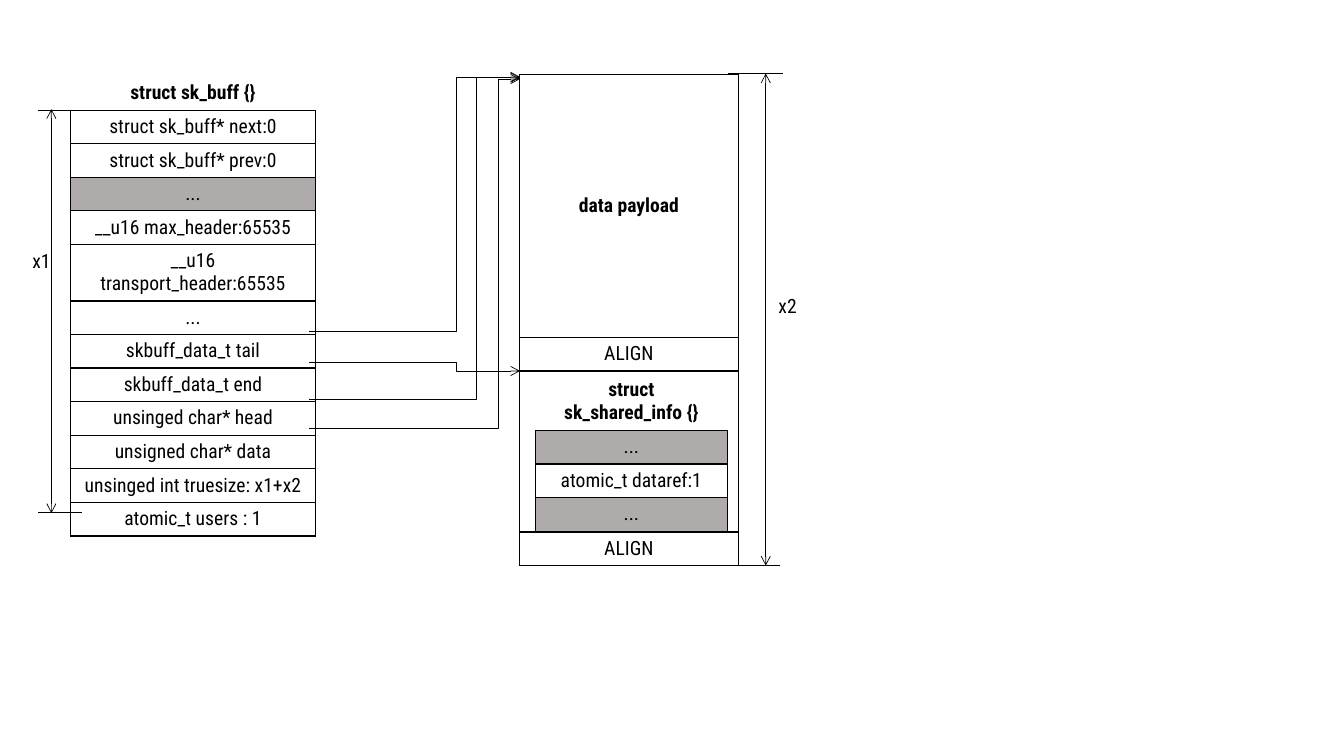
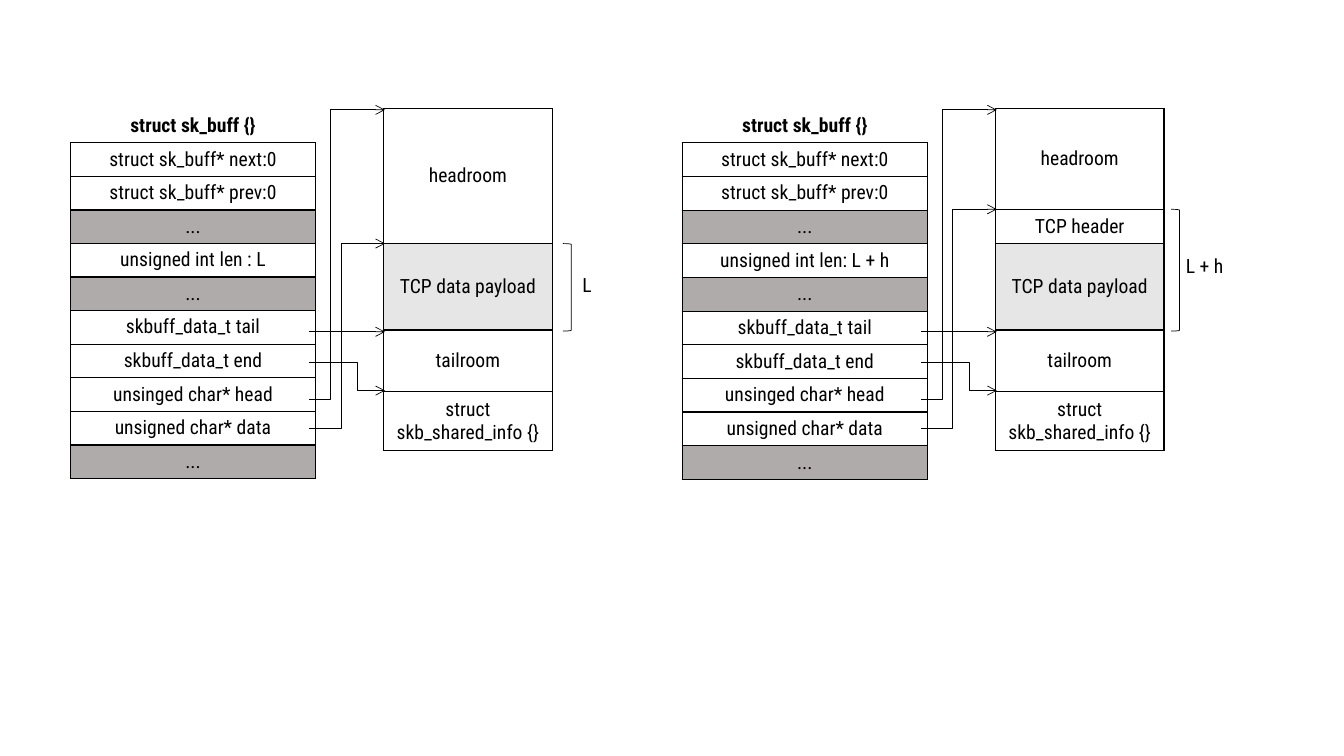
from lxml.etree import SubElement
from pptx import Presentation
from pptx.dml.color import RGBColor
from pptx.enum.shapes import MSO_CONNECTOR, MSO_SHAPE
from pptx.enum.text import MSO_ANCHOR, PP_ALIGN
from pptx.oxml.ns import qn
from pptx.util import Pt

COLORS = {"ink": "000000", "skipped": "AFABAB", "payload": "E7E6E6"}
FONT = {"name": "Roboto Condensed", "size": Pt(14)}
TABLE_FLAGS = {"first_row": False, "horz_banding": False}
ROW = 24
BUFFER_LEFT, BUFFER_WIDTH = 50.4, 175
FIELD_EDGE = 221
FIELD_Y = {"tail": 237, "end": 259, "head": 285, "data": 306}
BUFFER_TITLE = "struct sk_buff {}"
LINKS = ["struct sk_buff* next:0", "struct sk_buff* prev:0", "..."]
POINTERS = ["skbuff_data_t tail", "skbuff_data_t end",
            "unsinged char* head", "unsigned char* data"]


class Diagram:
    """Draw memory layout diagrams in one shared style, with lengths in points."""

    def __init__(self):
        self.deck = Presentation()
        self.deck.slide_width, self.deck.slide_height = Pt(960), Pt(540)
        self.slide = None

    def new_slide(self):
        self.slide = self.deck.slides.add_slide(self.deck.slide_layouts[6])

    def color(self, key):
        return RGBColor.from_string(COLORS[key])

    def set_text(self, frame, text, bold=False, align=PP_ALIGN.CENTER):
        for index, line in enumerate(text.split("\n")):
            paragraph = frame.add_paragraph() if index else frame.paragraphs[0]
            paragraph.alignment = align
            run = paragraph.add_run()
            run.text = line
            for name, value in {**FONT, "bold": bold}.items():
                setattr(run.font, name, value)
            run.font.color.rgb = self.color("ink")

    def border(self, cell, sides):
        properties = cell._tc.get_or_add_tcPr()
        for side in "LRTB":
            edge = SubElement(properties, qn(f"a:ln{side}"), w=str(Pt(1)))
            if side in sides:
                fill = SubElement(edge, qn("a:solidFill"))
                SubElement(fill, qn("a:srgbClr"), val=COLORS["ink"])
            else:
                SubElement(edge, qn("a:noFill"))

    def stack(self, left, top, width, rows, titled=False, bold=False,
              anchor=MSO_ANCHOR.MIDDLE):
        height = sum(size for _, size, _ in rows)
        table = self.slide.shapes.add_table(
            len(rows), 1, Pt(left), Pt(top), Pt(width), Pt(height)).table
        for name, value in TABLE_FLAGS.items():
            setattr(table, name, value)
        for index, (text, size, fill) in enumerate(rows):
            table.rows[index].height = Pt(size)
            cell = table.cell(index, 0)
            first = index == 0
            self.border(cell, "B" if titled and first else "LRTB")
            if fill:
                cell.fill.solid()
                cell.fill.fore_color.rgb = self.color(fill)
            else:
                cell.fill.background()
            cell.vertical_anchor = anchor
            if text:
                self.set_text(cell.text_frame, text, first and (titled or bold))

    def struct(self, left, top, width, title, fields, skipped, title_height=ROW):
        rows = [(title, title_height, None)]
        rows += [(field, ROW, "skipped" if index in skipped else None)
                 for index, field in enumerate(fields)]
        self.stack(left, top, width, rows, titled=True, anchor=MSO_ANCHOR.TOP)

    def line(self, start, end, arrows=(), bend=None):
        kind = MSO_CONNECTOR.STRAIGHT if bend is None else MSO_CONNECTOR.ELBOW
        connector = self.slide.shapes.add_connector(
            kind, *(Pt(value) for value in (*start, *end)))
        connector.line.color.rgb = self.color("ink")
        connector.line.width = Pt(0.5)
        outline = connector.line._get_or_add_ln()
        for arrow in arrows:
            SubElement(outline, qn(f"a:{arrow}End"), type="arrow")
        properties = connector._element.spPr
        SubElement(properties, qn("a:effectLst"))
        if bend is not None:
            share = round((bend - start[0]) / (end[0] - start[0]) * 100000)
            guides = properties.find(qn("a:prstGeom")).find(qn("a:avLst"))
            SubElement(guides, qn("a:gd"), name="adj1", fmla=f"val {share}")

    def pointer(self, field, target, bend=None, shift=0):
        start = (FIELD_EDGE + shift, FIELD_Y[field])
        end = (target[0] + shift, target[1])
        self.line(start, end, ["tail"], None if bend is None else bend + shift)

    def measure(self, x, top, bottom, ticks):
        self.line((x, top), (x, bottom), ["head", "tail"])
        for y, left, right in ticks:
            self.line((left, y), (right, y))

    def label(self, text, left, top, width):
        box = self.slide.shapes.add_textbox(Pt(left), Pt(top), Pt(width), Pt(ROW))
        box.text_frame.word_wrap = True
        box.text_frame.margin_right = 0
        self.set_text(box.text_frame, text, align=PP_ALIGN.LEFT)

    def bracket(self, left, top, bottom):
        shape = self.slide.shapes.add_shape(
            MSO_SHAPE.RIGHT_BRACKET, Pt(left), Pt(top), Pt(6), Pt(bottom - top))
        shape.shadow.inherit = False
        shape.fill.background()
        shape.line.color.rgb = self.color("ink")
        shape.line.width = Pt(0.5)


def draw_allocation(diagram):
    diagram.new_slide()
    fields = LINKS + ["__u16 max_header:65535", "__u16 transport_header:65535", "..."]
    fields += POINTERS + ["unsinged int truesize: x1+x2", "atomic_t users : 1"]
    diagram.struct(BUFFER_LEFT, 54.7, BUFFER_WIDTH, BUFFER_TITLE, fields, {2})
    diagram.stack(371, 53, 156.5, [("data payload", 188, None), ("ALIGN", ROW, None),
                                   ("", 115, None), ("ALIGN", ROW, None)], bold=True)
    diagram.struct(382.5, 266.5, 137, "struct\nsk_shared_info {}",
                   ["...", "atomic_t dataref:1", "..."], {0, 2}, title_height=41)
    for field, y, bend in [("tail", 55.5, 326), ("end", 265, 326),
                           ("head", 55, 340), ("data", 56.5, 356)]:
        diagram.pointer(field, (371.5, y), bend)
    diagram.measure(547, 52.5, 404, [(52.5, 520, 559.5), (403.5, 518, 557)])
    diagram.measure(36.7, 78, 366.5, [(79, 27.5, 64), (366, 27.5, 58.5)])
    diagram.label("x1", 16, 174.5, 28)
    diagram.label("x2", 549, 206.5, 28)


def draw_buffer(diagram, shift, length, rooms, data_y, bracket_left, label_box):
    fields = LINKS + [length, "..."] + POINTERS + ["..."]
    diagram.struct(BUFFER_LEFT + shift, 78, BUFFER_WIDTH, BUFFER_TITLE, fields, {2, 4, 9})
    rooms = rooms + [("TCP data payload", 62, "payload"), ("tailroom", 44, None),
                     ("struct skb_shared_info {}", 42, None)]
    diagram.stack(274 + shift, 77.7, 120.5, rooms)
    for field, y, bend in [("tail", FIELD_Y["tail"], None), ("end", 279, 255.5),
                           ("head", 78.5, 236), ("data", data_y, 243.5)]:
        diagram.pointer(field, (275, y), bend, shift)
    diagram.bracket(bracket_left + shift, data_y, 236.5)
    text, left, top, width = label_box
    diagram.label(text, left + shift, top, width)


def draw_header_push(diagram):
    diagram.new_slide()
    draw_buffer(diagram, 0, "unsigned int len : L", [("headroom", 96, None)],
                174, 402, ("L", 409, 191.5, 30))
    draw_buffer(diagram, 437, "unsigned int len: L + h",
                [("headroom", 72, None), ("TCP header", ROW, None)],
                149.5, 399.5, ("L + h", 403, 178, 42))


def main():
    diagram = Diagram()
    draw_allocation(diagram)
    draw_header_push(diagram)
    diagram.deck.save("out.pptx")


if __name__ == "__main__":
    main()
